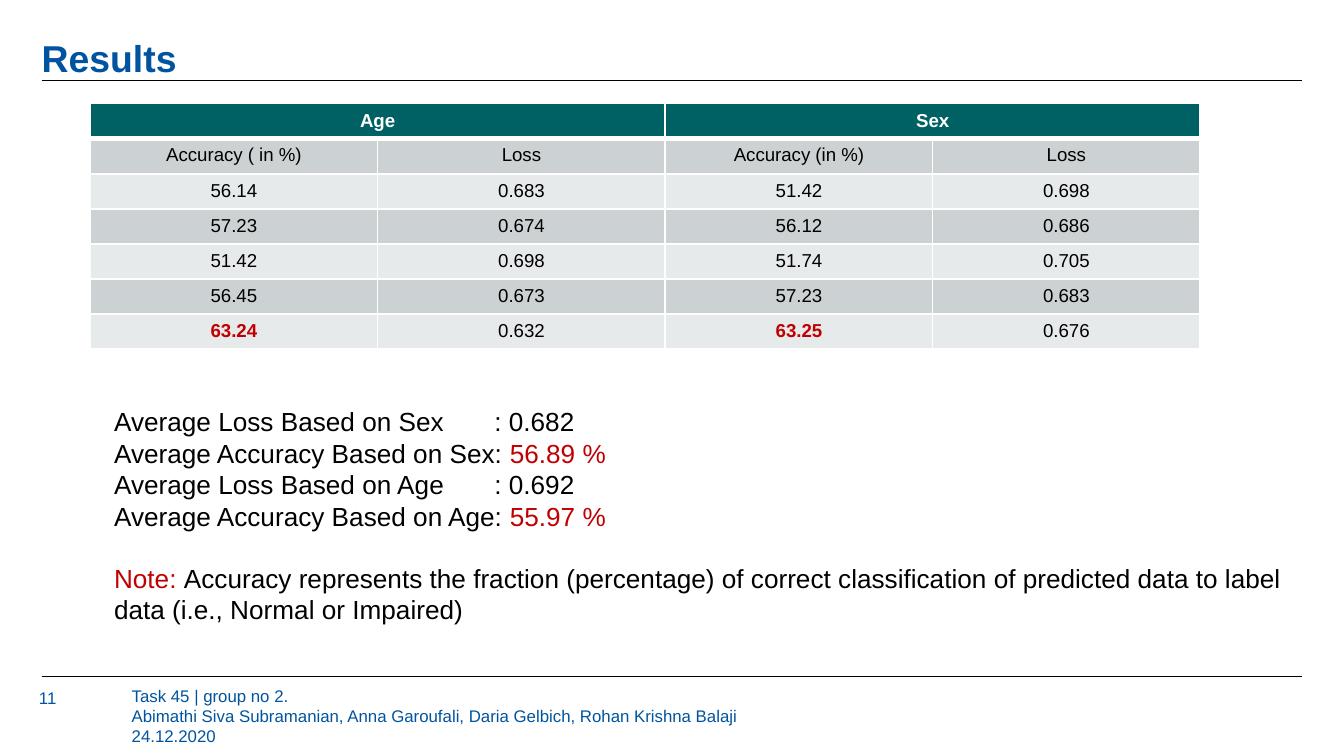
"""Build the results slide with its accuracy and loss table."""
from dataclasses import dataclass
from typing import NamedTuple

import lxml.etree
import pptx
import pptx.dml.color
import pptx.enum.shapes
import pptx.enum.text
import pptx.oxml
import pptx.oxml.ns
import pptx.util

Inches = pptx.util.Inches
Pt = pptx.util.Pt


@dataclass(frozen=True)
class Theme:
    font: str = "Arial"
    blue: str = "00549F"
    teal: str = "006165"
    dark_band: str = "CCD2D3"
    light_band: str = "E7EAEA"
    white: str = "FFFFFF"
    black: str = "000000"
    red: str = "C00000"
    title_size: float = 20
    body_size: float = 14
    table_size: float = 10
    footer_size: float = 9


class Box(NamedTuple):
    left: float
    top: float
    width: float
    height: float


class Statement(NamedTuple):
    label: str
    value: str
    label_color: str
    value_color: str
    space_before: float = 0


THEME = Theme()
COLUMN_WIDTHS = (2.14, 2.14, 1.99, 1.99)
ROW_HEIGHTS = (0.16, 0.27) + (0.26,) * 5
GROUPS = ("Age", "Sex")
ROWS = (
    ("Accuracy ( in %)", "Loss", "Accuracy (in %)", "Loss"),
    ("56.14", "0.683", "51.42", "0.698"),
    ("57.23", "0.674", "56.12", "0.686"),
    ("51.42", "0.698", "51.74", "0.705"),
    ("56.45", "0.673", "57.23", "0.683"),
    ("63.24", "0.632", "63.25", "0.676"),
)
BEST_RESULTS = ("63.24", "63.25")
STATEMENTS = (
    Statement("Average Loss Based on Sex\t", ": 0.682", THEME.black, THEME.black),
    Statement("Average Accuracy Based on Sex: ", "56.89 %", THEME.black, THEME.red),
    Statement("Average Loss Based on Age\t", ": 0.692", THEME.black, THEME.black),
    Statement("Average Accuracy Based on Age: ", "55.97 %", THEME.black, THEME.red),
    Statement(
        "Note: ",
        "Accuracy represents the fraction (percentage) of correct classification "
        "of predicted data to label data (i.e., Normal or Impaired)",
        THEME.red, THEME.black, 16.5,
    ),
)
FOOTER = (
    "Task 45 | group no 2.\v"
    "Abimathi Siva Subramanian, Anna Garoufali, Daria Gelbich, Rohan Krishna Balaji\v"
    "24.12.2020"
)


def rgb(color: str) -> pptx.dml.color.RGBColor:
    """Turn a hexadecimal string into a colour."""
    return pptx.dml.color.RGBColor.from_string(color)


def format_run(run, size: float, color: str, bold: bool = False) -> None:
    """Give a run its font, size, colour and weight."""
    run.font.name = THEME.font
    run.font.size = Pt(size)
    run.font.bold = bold
    run.font.color.rgb = rgb(color)


def add_text_box(slide, box: Box):
    """Add a wrapping text box and return its text frame."""
    text_frame = slide.shapes.add_textbox(*map(Inches, box)).text_frame
    text_frame.word_wrap = True
    return text_frame


def add_label(slide, box: Box, text: str, size: float, bold: bool = False):
    """Add a blue text without margins and return its text frame."""
    text_frame = add_text_box(slide, box)
    text_frame.margin_left = text_frame.margin_right = 0
    text_frame.margin_top = text_frame.margin_bottom = 0
    text_frame.text = text
    for run in text_frame.paragraphs[0].runs:
        format_run(run, size, THEME.blue, bold)
    return text_frame


def add_rule(slide, left: float, top: float, right: float) -> None:
    """Draw a thin horizontal line."""
    rule = slide.shapes.add_connector(
        pptx.enum.shapes.MSO_CONNECTOR.STRAIGHT,
        Inches(left), Inches(top), Inches(right), Inches(top),
    )
    rule.line.width = Pt(0.5)
    rule.line.color.rgb = rgb(THEME.black)
    lxml.etree.SubElement(rule._element.spPr, pptx.oxml.ns.qn("a:effectLst"))


def set_borders(cell, top: float, bottom: float) -> None:
    """Give a cell white borders, one point wide at its sides."""
    properties = cell._tc.get_or_add_tcPr()
    for side, width in (("L", 1), ("R", 1), ("T", top), ("B", bottom)):
        properties.append(pptx.oxml.parse_xml(
            f'<a:ln{side} {pptx.oxml.ns.nsdecls("a")} w="{Pt(width)}">'
            f'<a:solidFill><a:srgbClr val="{THEME.white}"/></a:solidFill></a:ln{side}>'
        ))


def style_cell(cell, row_index: int) -> None:
    """Set the margins, borders and fill that belong to a row."""
    bands = (THEME.light_band, THEME.dark_band)
    cell.margin_bottom = Inches(0.04)
    set_borders(cell, 3 if row_index == 1 else 1, 3 if row_index == 0 else 1)
    cell.fill.solid()
    cell.fill.fore_color.rgb = rgb(bands[row_index % 2] if row_index else THEME.teal)


def write_cell(cell, text: str, color: str, bold: bool) -> None:
    """Write centred text into a cell."""
    cell.text_frame.text = text
    paragraph = cell.text_frame.paragraphs[0]
    paragraph.alignment = pptx.enum.text.PP_ALIGN.CENTER
    format_run(paragraph.runs[0], THEME.table_size, color, bold)


def add_results_table(slide, left: float, top: float) -> None:
    """Add the table of accuracy and loss for each group."""
    table = slide.shapes.add_table(
        len(ROW_HEIGHTS), len(COLUMN_WIDTHS), Inches(left), Inches(top),
        Inches(sum(COLUMN_WIDTHS)), Inches(sum(ROW_HEIGHTS)),
    ).table
    for column, width in zip(table.columns, COLUMN_WIDTHS):
        column.width = Inches(width)
    for row_index, (row, height) in enumerate(zip(table.rows, ROW_HEIGHTS)):
        row.height = Inches(height)
        for cell in row.cells:
            style_cell(cell, row_index)
    for index, group in enumerate(GROUPS):
        cell = table.cell(0, 2 * index)
        cell.merge(table.cell(0, 2 * index + 1))
        write_cell(cell, group, THEME.white, True)
    for row_index, values in enumerate(ROWS, start=1):
        for column_index, value in enumerate(values):
            best = value in BEST_RESULTS
            color = THEME.red if best else THEME.black
            write_cell(table.cell(row_index, column_index), value, color, best)


def add_statements(slide, box: Box, tab_position: float) -> None:
    """Add the averages and the note, with colons lined up at a tab stop."""
    text_frame = add_text_box(slide, box)
    for index, statement in enumerate(STATEMENTS):
        paragraph = text_frame.add_paragraph() if index else text_frame.paragraphs[0]
        paragraph.space_before = Pt(statement.space_before)
        paragraph._p.get_or_add_pPr().append(pptx.oxml.parse_xml(
            f'<a:tabLst {pptx.oxml.ns.nsdecls("a")}>'
            f'<a:tab pos="{Inches(tab_position)}" algn="l"/></a:tabLst>'
        ))
        for text, color in (
            (statement.label, statement.label_color),
            (statement.value, statement.value_color),
        ):
            run = paragraph.add_run()
            run.text = text
            format_run(run, THEME.body_size, color)


def main() -> None:
    """Build and save the presentation."""
    presentation = pptx.Presentation()
    presentation.slide_width = Inches(10)
    presentation.slide_height = presentation.slide_width * 9 // 16
    slide = presentation.slides.add_slide(presentation.slide_layouts[6])
    add_rule(slide, 0.31, 0.6, 9.69)
    add_rule(slide, 0.31, 5.03, 9.69)
    add_label(slide, Box(0.29, 5.12, 0.8, 0.43), "11", THEME.footer_size)
    add_label(slide, Box(0.98, 5.1, 5.12, 0.47), FOOTER, THEME.footer_size)
    title = add_label(slide, Box(0.31, 0.15, 9.37, 0.45), "Results", THEME.title_size, True)
    title.vertical_anchor = pptx.enum.text.MSO_ANCHOR.BOTTOM
    title.paragraphs[0].line_spacing = 0.9
    add_results_table(slide, 0.67, 0.77)
    add_statements(slide, Box(0.75, 2.97, 8.95, 2.69), 2.83)
    presentation.save("out.pptx")


if __name__ == "__main__":
    main()
